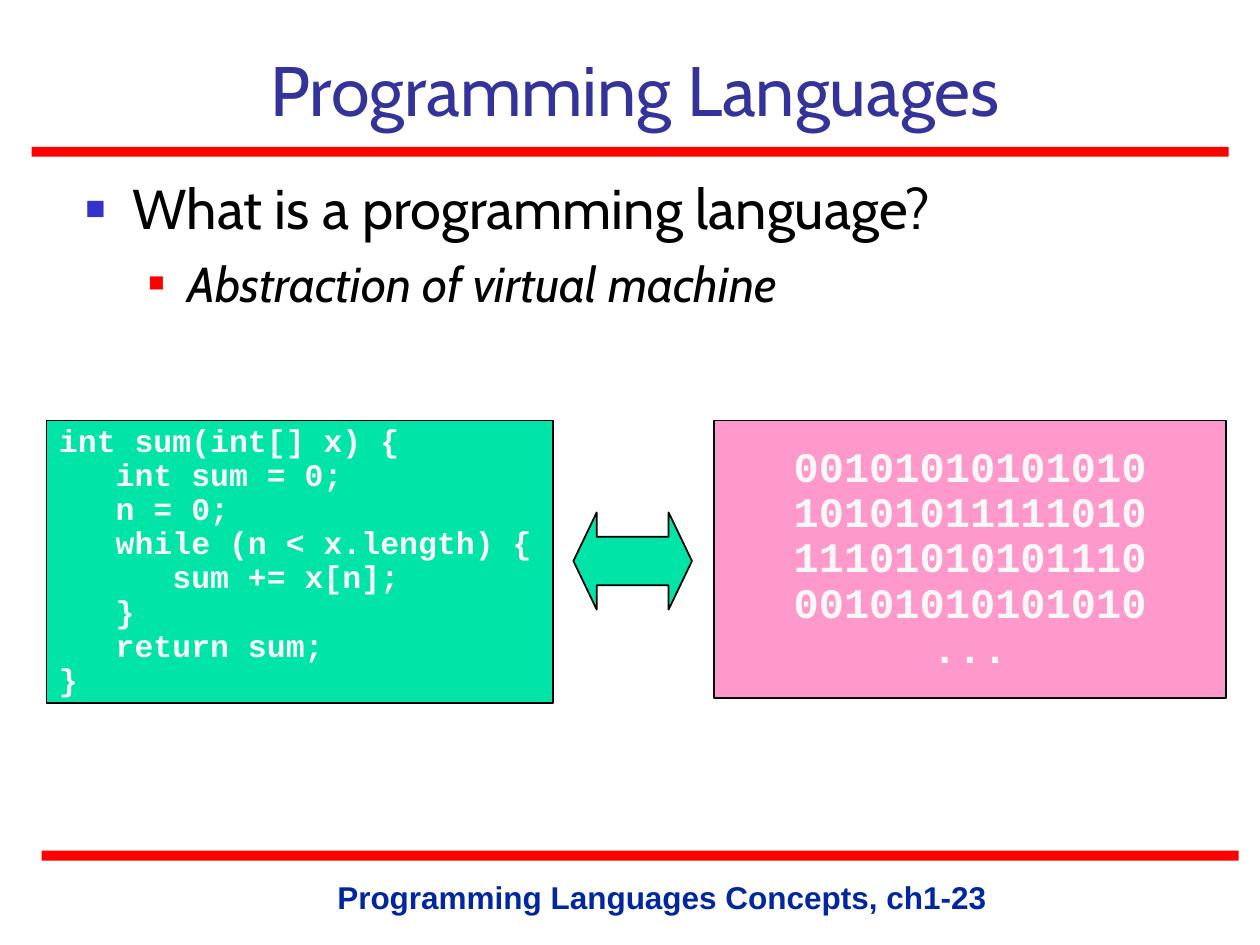
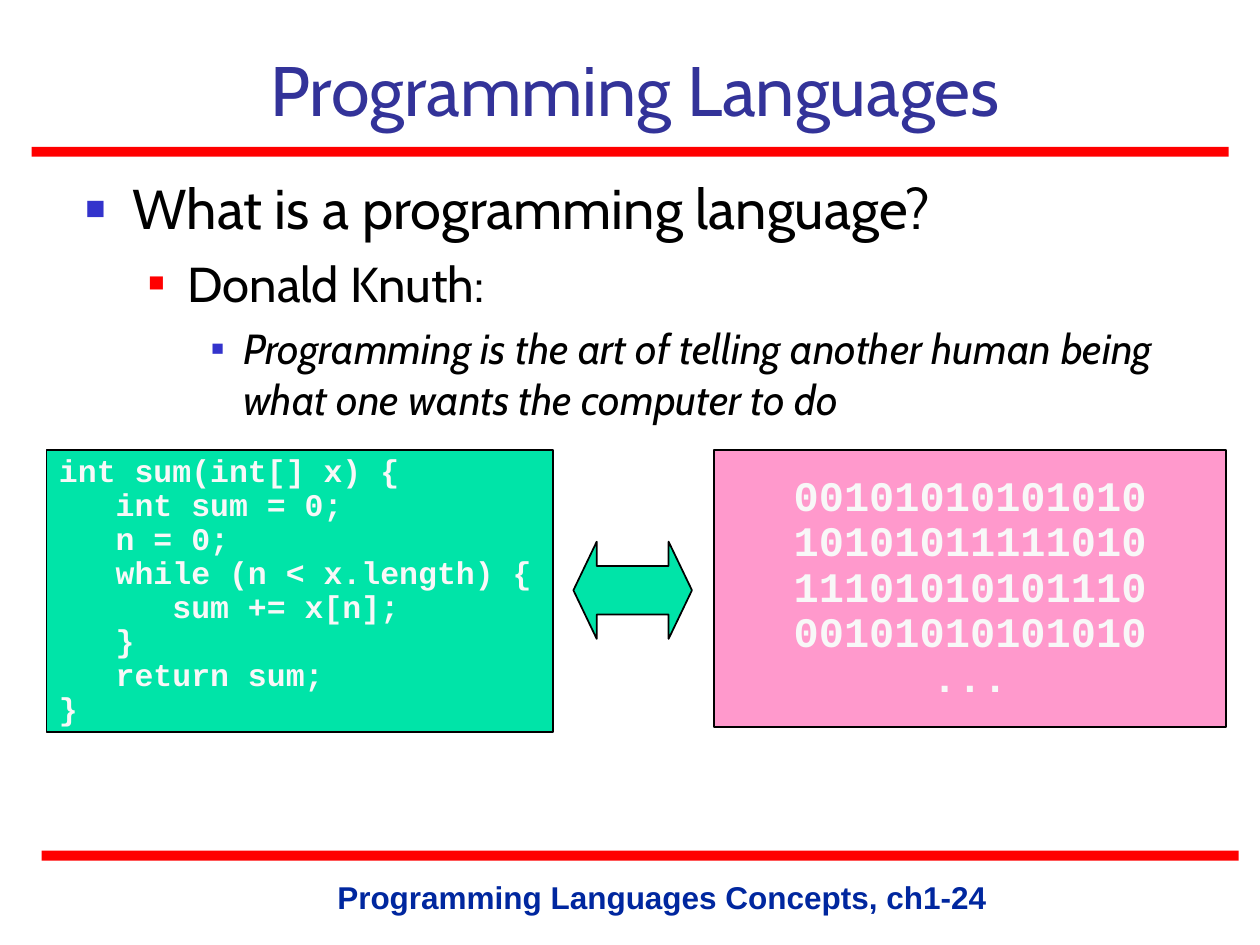
from lxml.etree import SubElement
from pptx import Presentation
from pptx.dml.color import RGBColor
from pptx.enum.shapes import MSO_SHAPE as Shape
from pptx.enum.text import MSO_ANCHOR as Anchor, PP_ALIGN as Align
from pptx.oxml.ns import qn
from pptx.util import Cm, Pt

# Content
TITLE = "Programming Languages"
FOOTER = "Programming Languages Concepts, ch1-{}"
QUESTION = (0, "What is a programming language?", False)
SLIDES = [  # page number, top of the diagram in cm, bullets (level, text, italic)
    (23, 8.48, [QUESTION, (1, "Abstraction of virtual machine", True)]),
    (24, 9.07, [
        QUESTION,
        (1, "Donald Knuth:", False),
        (2, "Programming is the art of telling another human being "
            "what one wants the computer to do", True),
    ]),
]
SOURCE_CODE = """int sum(int[] x) {
   int sum = 0;
   n = 0;
   while (n < x.length) {
      sum += x[n];
   }
   return sum;
}""".split("\n")
MACHINE_CODE = ["00101010101010", "10101011111010", "11101010101110",
                "00101010101010", "..."]

# Shared look
RED, GREEN, PINK, BLACK = "FF0000", "00E4A8", "FF99CC", "000000"
BULLET_BLUE = "3333CC"
TITLE_FONT = {"name": "Cabin", "size": Pt(40), "color": "333399"}
FOOTER_FONT = {"name": "Arial", "size": Pt(18), "bold": True, "color": "00279F"}
BODY_FONT = {"name": "Cabin", "color": BLACK}
CODE_FONT = {"name": "Courier New", "bold": True, "color": "F8F8F8"}
LEVELS = [  # text size, space before, left margin cm, hanging cm, bullet colour, bullet %
    (32, 8, 0.95, 0.95, BULLET_BLUE, 60),
    (28, 7, 2.06, 0.79, RED, 55),
    (24, 6, 3.18, 0.64, BULLET_BLUE, 50),
]

# Places in cm: left, top, width, height
BANDS = [(0.64, 2.96, 24.13, 0.2), (0.84, 17.15, 24.13, 0.2)]
TITLE_BOX = (3.18, 0.64, 19.25, 2.11)
BODY_BOX = (1.47, 3.38, 23.06, 13.64)
FOOTER_BOX = (5.51, 17.58, 15.67, 1.02)


def rgb(value):
    return RGBColor.from_string(value)


def style(font, formats):
    for name, value in formats.items():
        if name == "color":
            font.color.rgb = rgb(value)
        else:
            setattr(font, name, value)


def add_text_box(slide, box, anchor=Anchor.TOP):
    frame = slide.shapes.add_textbox(*map(Cm, box)).text_frame
    frame.word_wrap = True
    frame.vertical_anchor = anchor
    return frame


def write_lines(frame, lines, formats, align, line_spacing=None):
    for index, line in enumerate(lines):
        paragraph = frame.paragraphs[0] if index == 0 else frame.add_paragraph()
        paragraph.text = line
        paragraph.alignment = align
        paragraph.line_spacing = line_spacing
        style(paragraph.font, formats)


def add_block(slide, kind, box, fill, outline=None):
    shape = slide.shapes.add_shape(kind, *map(Cm, box))
    shape.shadow.inherit = False
    shape.fill.solid()
    shape.fill.fore_color.rgb = rgb(fill)
    if outline:
        shape.line.color.rgb = rgb(outline)
        shape.line.width = Pt(1)
    else:
        shape.line.fill.background()
    return shape


def add_code_block(slide, box, fill, lines, size, align):
    frame = add_block(slide, Shape.RECTANGLE, box, fill, BLACK).text_frame
    frame.word_wrap = False
    frame.vertical_anchor = Anchor.MIDDLE
    write_lines(frame, lines, {**CODE_FONT, "size": Pt(size)}, align, 0.9)


def set_bullet(paragraph, margin, hanging, color, percent):
    properties = paragraph._p.get_or_add_pPr()
    properties.set("marL", str(Cm(margin)))
    properties.set("indent", str(-Cm(hanging)))
    bullet_color = SubElement(properties, qn("a:buClr"))
    SubElement(bullet_color, qn("a:srgbClr"), val=color)
    SubElement(properties, qn("a:buSzPct"), val=str(percent * 1000))
    SubElement(properties, qn("a:buFont"), typeface="Arial")
    SubElement(properties, qn("a:buChar"), char="■")


def add_bullets(slide, bullets):
    frame = add_text_box(slide, BODY_BOX)
    for index, (level, text, italic) in enumerate(bullets):
        size, space, *bullet = LEVELS[level]
        paragraph = frame.paragraphs[0] if index == 0 else frame.add_paragraph()
        paragraph.text = text
        paragraph.level = level
        set_bullet(paragraph, *bullet)
        if index:
            paragraph.space_before = Pt(space)
        style(paragraph.font, {**BODY_FONT, "size": Pt(size), "italic": italic})


def add_frame(slide, page):
    for band in BANDS:
        add_block(slide, Shape.RECTANGLE, band, RED)
    write_lines(add_text_box(slide, FOOTER_BOX), [FOOTER.format(page)],
                FOOTER_FONT, Align.CENTER)
    write_lines(add_text_box(slide, TITLE_BOX, Anchor.BOTTOM), [TITLE],
                TITLE_FONT, Align.CENTER)


def add_diagram(slide, top):
    add_code_block(slide, (0.94, top, 10.21, 5.69), GREEN, SOURCE_CODE, 18, Align.LEFT)
    add_code_block(slide, (14.4, top, 10.31, 5.59), PINK, MACHINE_CODE, 24, Align.CENTER)
    arrow = add_block(slide, Shape.LEFT_RIGHT_ARROW, (11.56, top + 1.85, 2.39, 1.96),
                      GREEN, BLACK)
    arrow.adjustments[0] = 0.5
    arrow.adjustments[1] = 0.24


def main():
    presentation = Presentation()
    presentation.slide_width, presentation.slide_height = Cm(25.4), Cm(19.05)
    for page, diagram_top, bullets in SLIDES:
        slide = presentation.slides.add_slide(presentation.slide_layouts[6])
        add_frame(slide, page)
        add_bullets(slide, bullets)
        add_diagram(slide, diagram_top)
    presentation.save("out.pptx")


if __name__ == "__main__":
    main()
